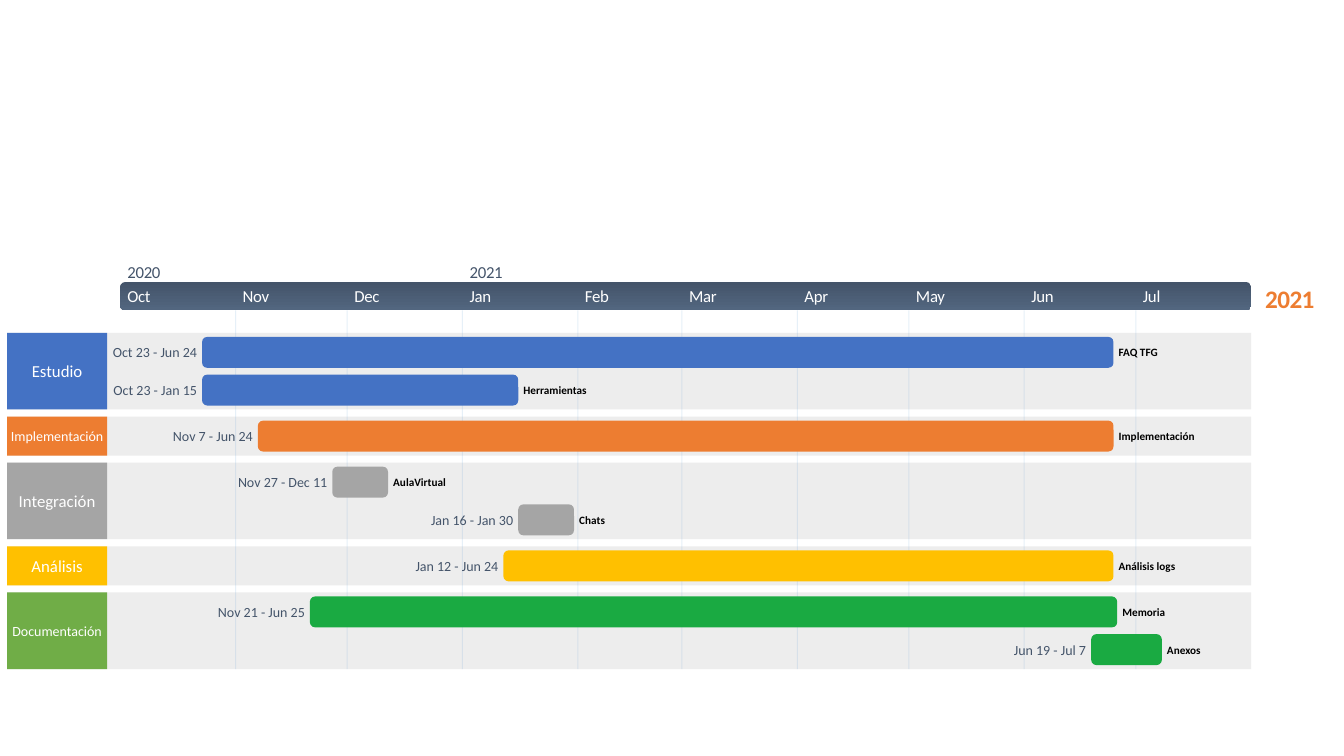
from itertools import accumulate
from lxml.etree import SubElement
from pptx import Presentation
from pptx.dml.color import RGBColor as Rgb
from pptx.enum.shapes import MSO_CONNECTOR as Link, MSO_SHAPE as Kind
from pptx.enum.text import MSO_ANCHOR as Anchor, PP_ALIGN as Align
from pptx.oxml.ns import qn
from pptx.util import Cm, Pt

WHITE = Rgb(0xFF, 0xFF, 0xFF)
BLACK = Rgb(0, 0, 0)
NAVY = Rgb(0x44, 0x54, 0x6A)
SLATE = Rgb(0x52, 0x66, 0x7F)
SKY = Rgb(0x5B, 0x9B, 0xD5)
BLUE = Rgb(0x44, 0x72, 0xC4)
ORANGE = Rgb(0xED, 0x7D, 0x31)
GRAY = Rgb(0xA5, 0xA5, 0xA5)
GOLD = Rgb(0xFF, 0xC0, 0x00)
LEAF = Rgb(0x70, 0xAD, 0x47)
GREEN = Rgb(0x1A, 0xAA, 0x42)

MONTHS = {"Oct": 31, "Nov": 30, "Dec": 31, "Jan": 31, "Feb": 28,
          "Mar": 31, "Apr": 30, "May": 31, "Jun": 30, "Jul": 31}
STARTS = dict(zip(MONTHS, accumulate(MONTHS.values(), initial=0)))
YEARS = {"Oct": "2020", "Jan": "2021"}

# Phase, label size, label colour, bar colour, tasks
PHASES = [
    ("Estudio", 12, BLUE, BLUE, [("Oct 23 - Jun 24", "FAQ TFG"),
                                 ("Oct 23 - Jan 15", "Herramientas")]),
    ("Implementación", 10, ORANGE, ORANGE,
     [("Nov 7 - Jun 24", "Implementación")]),
    ("Integración", 12, GRAY, GRAY, [("Nov 27 - Dec 11", "AulaVirtual"),
                                     ("Jan 16 - Jan 30", "Chats")]),
    ("Análisis", 12, GOLD, GOLD, [("Jan 12 - Jun 24", "Análisis logs")]),
    ("Documentación", 10, LEAF, GREEN, [("Nov 21 - Jun 25", "Memoria"),
                                        ("Jun 19 - Jul 7", "Anexos")]),
]

# Lengths in centimetres
LEFT, TOP, WIDE = 0.18, 8.39, 31.35
TAG = 2.52
AXIS_X, AXIS_Y, AXIS_W, AXIS_H = 3.03, 7.11, 28.5, 0.71
DAY = AXIS_W / sum(MONTHS.values())
BAR, PITCH, PAD, GAP = 0.78, 0.95, 0.1, 0.18
NEAR = 0.13


def day_x(day):
    """Return the x of a day counted from the start of the axis."""
    return AXIS_X + day * DAY


def span(dates):
    """Return the x where a range such as 'Oct 23 - Jun 24' starts and ends."""
    first, last = [STARTS[part.split()[0]] + int(part.split()[1])
                   for part in dates.split(" - ")]
    return day_x(first - 1), day_x(last)


def fade(fill, share):
    """Make a solid fill partly transparent; share is its opacity in percent."""
    tint = fill._xPr.find(qn("a:solidFill"))[0]
    SubElement(tint, qn("a:alpha")).set("val", str(share * 1000))


def block(slide, kind, box, color):
    """Add a filled shape without outline or shadow."""
    shape = slide.shapes.add_shape(kind, *map(Cm, box))
    shape.shadow.inherit = False
    shape.line.fill.background()
    shape.fill.solid()
    shape.fill.fore_color.rgb = color
    return shape


def write(frame, text, size, color, align=Align.LEFT, bold=False, track=0):
    """Put one run of text in a frame without margins, centred in height."""
    frame.margin_left = frame.margin_right = 0
    frame.margin_top = frame.margin_bottom = 0
    frame.vertical_anchor = Anchor.MIDDLE
    frame.word_wrap = True
    para = frame.paragraphs[0]
    para.alignment = align
    run = para.add_run()
    run.text = text
    font = run.font
    font.name, font.size, font.bold = "Calibri", Pt(size), bold
    font.color.rgb = color
    if track:
        run._r.get_or_add_rPr().set("spc", str(track))


def label(slide, box, *args, **style):
    """Add a text box holding one run."""
    text = slide.shapes.add_textbox(*map(Cm, box))
    write(text.text_frame, *args, **style)


def draw_axis(slide, x, y, wide, high):
    """Draw the month bar with its years above and the end year beside it."""
    bar = block(slide, Kind.ROUNDED_RECTANGLE, (x, y, wide, high), NAVY)
    bar.fill.gradient()
    bar.fill.gradient_angle = 270
    for stop, color in zip(bar.fill.gradient_stops, (NAVY, SLATE)):
        stop.color.rgb = color
    for month, start in STARTS.items():
        if month not in MONTHS:
            continue
        left = day_x(start) + 0.18
        label(slide, (left, y, 1.5, high), month, 12, WHITE, track=-20)
        if month in YEARS:
            label(slide, (left, y - 0.5, 1.5, 0.5), YEARS[month], 12, NAVY,
                  track=-20)
    label(slide, (x + wide + 0.3, y, 1.35, 0.8), "2021", 18, ORANGE,
          align=Align.CENTER, bold=True, track=-40)


def draw_grid(slide, top, end):
    """Draw a faint line at the start of each month after the first."""
    for month in list(MONTHS)[1:]:
        x = Cm(day_x(STARTS[month]))
        line = slide.shapes.add_connector(Link.STRAIGHT, x, Cm(top), x, Cm(end))
        line.line.color.rgb = SKY
        line.line.width = Pt(0.75)
        fade(line.line.fill, 15)
        SubElement(line._element.spPr, qn("a:effectLst"))


def draw_band(slide, box, name, size, color):
    """Draw the pale band of a phase and its name tag."""
    x, y, wide, high = box
    band = block(slide, Kind.RECTANGLE, box, GRAY)
    fade(band.fill, 20)
    tag = block(slide, Kind.RECTANGLE, (x, y, TAG, high), color)
    write(tag.text_frame, name, size, WHITE, align=Align.CENTER)


def draw_task(slide, y, dates, name, color):
    """Draw a task bar with its dates before it and its name after it."""
    start, end = span(dates)
    block(slide, Kind.ROUNDED_RECTANGLE, (start, y, end - start, BAR), color)
    label(slide, (start - NEAR - 2.5, y, 2.5, BAR), dates, 10, NAVY,
          align=Align.RIGHT)
    label(slide, (end + NEAR, y, 2.9, BAR), name, 8, BLACK, bold=True)


def draw_plan(slide, x, y, wide):
    """Draw the bands, then the month lines, then the tasks."""
    highs = [2 * PAD + BAR + PITCH * (len(phase[-1]) - 1) for phase in PHASES]
    tops = list(accumulate((high + GAP for high in highs), initial=y))
    for (name, size, color, _, _), top, high in zip(PHASES, tops, highs):
        draw_band(slide, (x, top, wide, high), name, size, color)
    draw_grid(slide, AXIS_Y + AXIS_H, tops[-1] - GAP)
    for (_, _, _, color, tasks), top in zip(PHASES, tops):
        for row, (dates, name) in enumerate(tasks):
            draw_task(slide, top + PAD + row * PITCH, dates, name, color)


def main():
    """Build the slide and save it."""
    deck = Presentation()
    deck.slide_width, deck.slide_height = Cm(33.87), Cm(19.05)
    slide = deck.slides.add_slide(deck.slide_layouts[6])
    draw_axis(slide, AXIS_X, AXIS_Y, AXIS_W, AXIS_H)
    draw_plan(slide, LEFT, TOP, WIDE)
    deck.save("out.pptx")


main()
